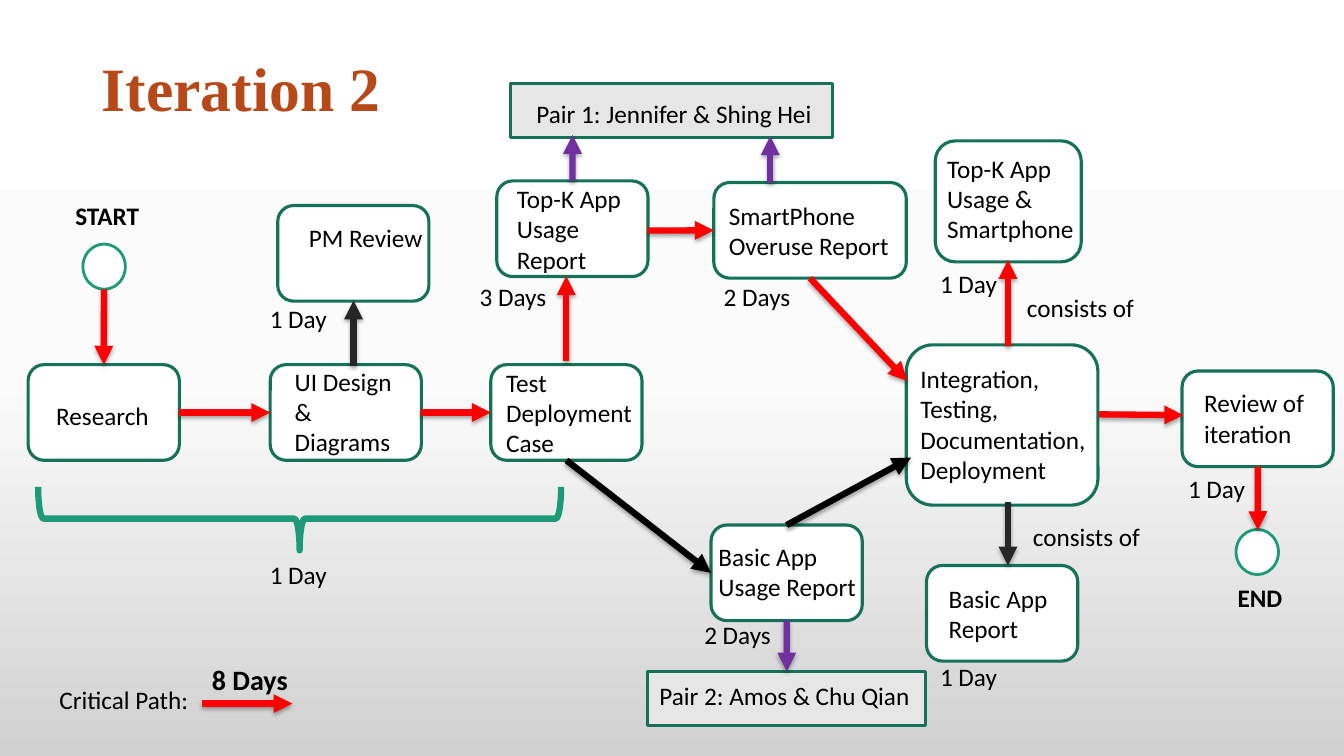
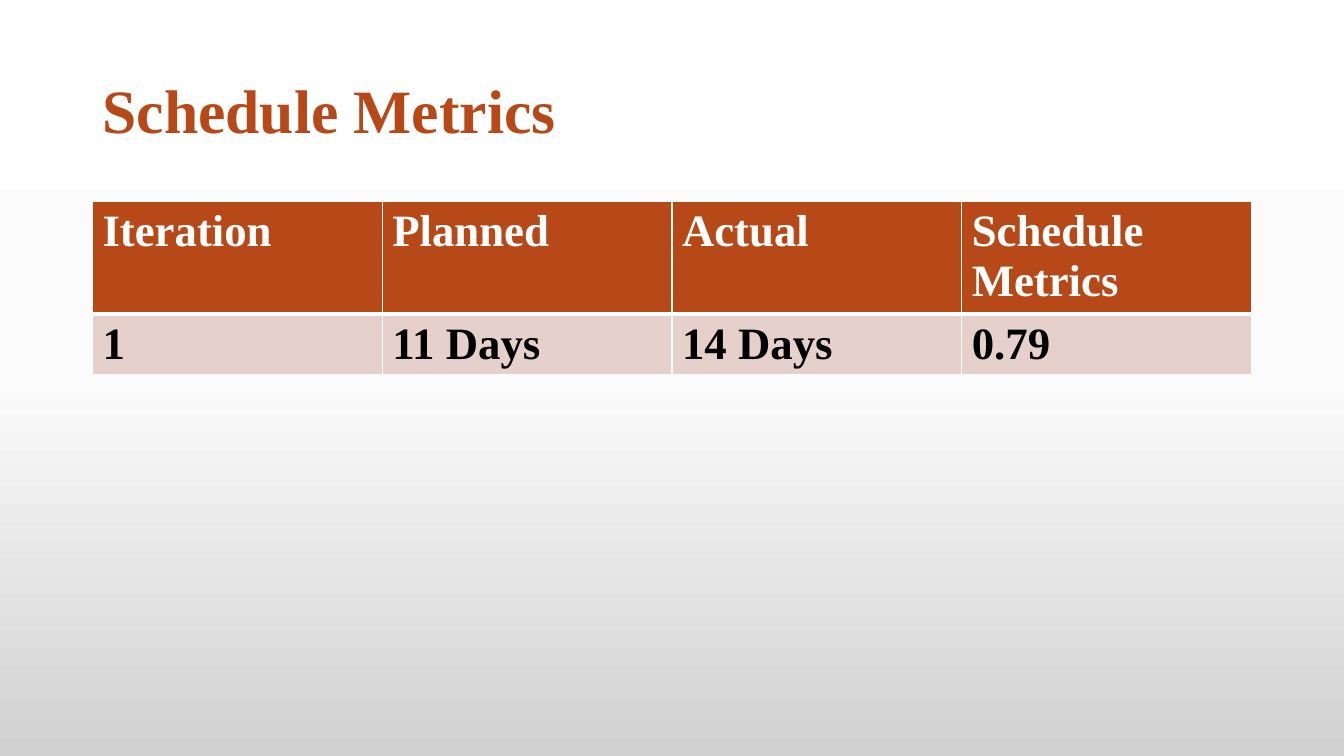
from collections import namedtuple

from lxml.etree import SubElement
from pptx import Presentation
from pptx.dml.color import RGBColor
from pptx.enum.shapes import MSO_CONNECTOR as Conn, MSO_SHAPE as Shp
from pptx.enum.text import MSO_ANCHOR as Anchor, PP_ALIGN as Align
from pptx.oxml.ns import qn
from pptx.util import Cm, Pt

COLORS = {
    "title": "B74919", "row": "E6D0CC", "white": "FFFFFF", "black": "000000",
    "edge": "157259", "green": "1D9A78", "pair": "E7E6E6", "red": "FF0000",
    "dark": "262626", "purple": "7030A0", "mid": "FBFBFB", "low": "D1D1D1",
}
SANS, SERIF = "Calibri", "Times New Roman"
TITLE_LAYOUT = 5
TOP, LEFT, BOTTOM, RIGHT = range(4)
Box = namedtuple("Box", "x y w h")
SLIDE = Box(0, 0, 33.87, 19.05)
STEP_W, STEP_H = 3.81, 2.41
ROW_Y = 9.19

STEPS = {
    "integration": (Box(22.84, 8.69, 4.83, 4.04), "Integration, Testing, Documentation, Deployment", 0.16, 0, 0.05),
    "review": (Box(29.79, 9.35, STEP_W, STEP_H), "Review of iteration", 0.44, 0, 0.05),
    "test": (Box(12.37, ROW_Y, STEP_W, STEP_H), "Test Deployment Case", 0.27),
    "ui": (Box(6.81, ROW_Y, STEP_W, STEP_H), "UI Design & Diagrams", 0.5, 0.2, 0.05),
    "research": (Box(0.71, ROW_Y, STEP_W, STEP_H), "Research", 0.59, 0, -0.15),
    "pm": (Box(7.0, 5.18, STEP_W, STEP_H), "PM Review", 0.67, 0, 0.79),
    "basic": (Box(17.92, 13.23, STEP_W, STEP_H), "Basic App Usage Report", 0.07, 0, 0.07),
    "top_k": (Box(12.52, 4.56, STEP_W, STEP_H), "Top-K App Usage Report", 0.39),
    "overuse": (Box(17.99, 4.6, 4.85, STEP_H), "SmartPhone Overuse Report", 0.26),
    "combined": (Box(23.57, 3.55, 3.68, 3.05), "Top-K App Usage & Smartphone", 0.15, 0, 0.14),
    "basic_report": (Box(23.35, 14.25, STEP_W, STEP_H), "Basic App Report", 0.44),
}
PAIRS = [
    (Box(12.86, 2.1, 8.13, 1.37), "Pair 1: Jennifer & Shing Hei", 0.66, 0, -0.17),
    (Box(16.32, 16.92, 7.01, 1.37), "Pair 2: Amos & Chu Qian", 0.3, 0, 0.14),
]
TERMINALS = [Box(2.09, 6.15, 1.07, 1.14), Box(31.15, 13.34, 1.07, 1.14)]
ARROWS = [
    (("research", RIGHT), ("ui", LEFT), "red"),
    (("ui", RIGHT), ("test", LEFT), "red"),
    (("test", BOTTOM), ("basic", LEFT), "black"),
    (("basic", TOP), (22.96, 11.53), "black"),
    ((27.69, 10.44), (29.82, 10.46), "red"),
    ((8.91, 9.22), (8.91, 7.57), "dark"),
    ((14.27, 9.09), (14.27, 6.96), "red"),
    ((16.32, 5.81), ("overuse", LEFT), "red"),
    ((2.62, 7.29), ("research", TOP), "red"),
    (("review", BOTTOM), (31.7, 13.36), "red"),
    (("top_k", TOP), (14.43, 3.4), "purple"),
    ((19.41, 4.6), (19.41, 3.43), "purple"),
    (("basic", BOTTOM), (19.83, 16.92), "purple"),
    ((25.4, 8.71), (25.4, 6.55), "red"),
    (("overuse", BOTTOM), (22.86, 9.6), "red"),
    ((25.4, 12.65), (25.4, 14.25), "dark"),
    ((5.08, 17.73), (7.37, 17.73), "red"),
]
LABELS = [
    (6.55, 13.97, "1 Day"), (6.55, 7.51, "1 Day"), (11.84, 6.96, "3 Days"),
    (17.99, 6.96, "2 Days"), (17.5, 15.47, "2 Days"), (29.69, 11.79, "1 Day"),
    (23.44, 6.63, "1 Day"), (23.44, 16.54, "1 Day"),
    (25.63, 7.24, "consists of"), (25.78, 13.02, "consists of"),
    (1.25, 17.12, "Critical Path:"),
    (1.65, 4.93, "START", 18, True), (30.94, 14.55, "END", 18, True),
    (5.09, 16.58, "8 Days", 20, True),
]
METRICS = [
    ["Iteration", "Planned", "Actual", "Schedule Metrics"],
    ["1", "11 Days", "14 Days", "0.79"],
]


def rgb(name):
    return RGBColor.from_string(COLORS[name])


def cms(*values):
    return [Cm(v) for v in values]


def within(area, box):
    return cms(area.x + box.x, area.y + box.y, box.w, box.h)


def add_color(parent, name):
    return SubElement(parent, qn("a:srgbClr"), val=COLORS[name])


def write(tf, text, size=18, bold=False, color="black", font=SANS):
    p = tf.paragraphs[0]
    p.alignment = Align.LEFT
    r = p.add_run()
    r.text = text
    r.font.name, r.font.size, r.font.bold = font, Pt(size), bold
    r.font.color.rgb = rgb(color)
    return p


def set_background(master):
    fill = master.background.fill
    fill.gradient()
    fill.gradient_angle = 270
    stops = master.element.find(".//" + qn("p:bg")).find(".//" + qn("a:gsLst"))
    for stop in list(stops):
        stops.remove(stop)
    for pos, name in ((0, "white"), (50, "mid"), (100, "low")):
        add_color(SubElement(stops, qn("a:gs"), pos=str(pos * 1000)), name)


def add_title(s, text, box, framed):
    title = s.shapes.title
    title.left, title.top, title.width, title.height = cms(*box)
    if framed:
        title.line.color.rgb, title.line.width = rgb("white"), Pt(0.75)
    tf = title.text_frame
    tf.word_wrap, tf.vertical_anchor = True, Anchor.MIDDLE
    write(tf, text, 44, True, "title", SERIF).line_spacing = 0.9


def add_outlined(s, area, box, kind, fill, edge, width):
    sp = s.shapes.add_shape(kind, *within(area, box))
    sp.shadow.inherit = False
    if fill:
        sp.fill.solid()
        sp.fill.fore_color.rgb = rgb(fill)
    else:
        sp.fill.background()
    sp.line.color.rgb, sp.line.width = rgb(edge), Pt(width)
    return sp


def fill_step(sp, text, left, right=0, lift=0):
    tf = sp.text_frame
    tf.word_wrap, tf.vertical_anchor = True, Anchor.MIDDLE
    tf.margin_left, tf.margin_right = cms(left, right)
    tf.margin_top, tf.margin_bottom = cms(max(-lift, 0), max(lift, 0))
    write(tf, text)


def add_label(s, area, x, y, text, size=18, bold=False):
    sp = s.shapes.add_textbox(*within(area, Box(x, y, 4, 1.02)))
    sp.text_frame.word_wrap = True
    write(sp.text_frame, text, size, bold)


def add_arrow(s, area, steps, start, end, color):
    points = [(0, 0) if p[0] in steps else p for p in (start, end)]
    ends = [c for x, y in points for c in cms(area.x + x, area.y + y)]
    line = s.shapes.add_connector(Conn.STRAIGHT, *ends)
    for point, connect in ((start, line.begin_connect), (end, line.end_connect)):
        if point[0] in steps:
            connect(steps[point[0]], point[1])
    line.line.color.rgb, line.line.width = rgb(color), Pt(4.5)
    sp_pr = line.element.spPr
    SubElement(sp_pr.find(qn("a:ln")), qn("a:tailEnd"), type="triangle")
    effects = SubElement(sp_pr, qn("a:effectLst"))
    shadow = SubElement(effects, qn("a:outerShdw"), blurRad=str(Pt(3.1)),
                        dist=str(Pt(1.8)), dir="5400000", rotWithShape="0")
    SubElement(add_color(shadow, "black"), qn("a:alpha"), val="35000")


def add_flow(s, area):
    for box, *text in PAIRS:
        fill_step(add_outlined(s, area, box, Shp.RECTANGLE, "pair", "edge", 2), *text)
    steps = {}
    for name, (box, *text) in STEPS.items():
        steps[name] = add_outlined(s, area, box, Shp.ROUNDED_RECTANGLE, "white", "edge", 2.25)
        fill_step(steps[name], *text)
    for box in TERMINALS:
        add_outlined(s, area, box, Shp.OVAL, "white", "green", 2)
    for arrow in ARROWS:
        add_arrow(s, area, steps, *arrow)
    brace = add_outlined(s, area, Box(6.75, 6.48, 1.6, 13.18), Shp.RIGHT_BRACE, None, "green", 4.5)
    brace.rotation = 90
    for label in LABELS:
        add_label(s, area, *label)


def add_borders(cell, bottom):
    tc_pr = cell._tc.get_or_add_tcPr()
    for side, width in (("L", 1), ("R", 1), ("T", 1), ("B", bottom)):
        ln = SubElement(tc_pr, qn("a:ln" + side), w=str(Pt(width)))
        add_color(SubElement(ln, qn("a:solidFill")), "white")


def add_metrics(s, area):
    table = s.shapes.add_table(len(METRICS), len(METRICS[0]), *cms(*area)).table
    styles = [(2.84, "title", "white", 3), (1.04, "row", "black", 1)]
    for row, texts, (height, fill, color, bottom) in zip(table.rows, METRICS, styles):
        row.height = Cm(height)
        for cell, text in zip(row.cells, texts):
            add_borders(cell, bottom)
            cell.fill.solid()
            cell.fill.fore_color.rgb = rgb(fill)
            write(cell.text_frame, text, 32, True, color, SERIF)


def main():
    prs = Presentation()
    prs.slide_width, prs.slide_height = cms(SLIDE.w, SLIDE.h)
    set_background(prs.slide_master)
    pages = [
        ("Iteration 2", Box(2.31, 0.46, 29.21, 3.68), False, add_flow, SLIDE),
        ("Schedule Metrics", Box(2.33, 1.02, 29.21, 3.68), True, add_metrics, Box(2.33, 5.08, 29.21, 4.57)),
    ]
    for title, title_box, framed, add_content, area in pages:
        s = prs.slides.add_slide(prs.slide_layouts[TITLE_LAYOUT])
        add_title(s, title, title_box, framed)
        add_content(s, area)
    prs.save("out.pptx")


if __name__ == "__main__":
    main()
